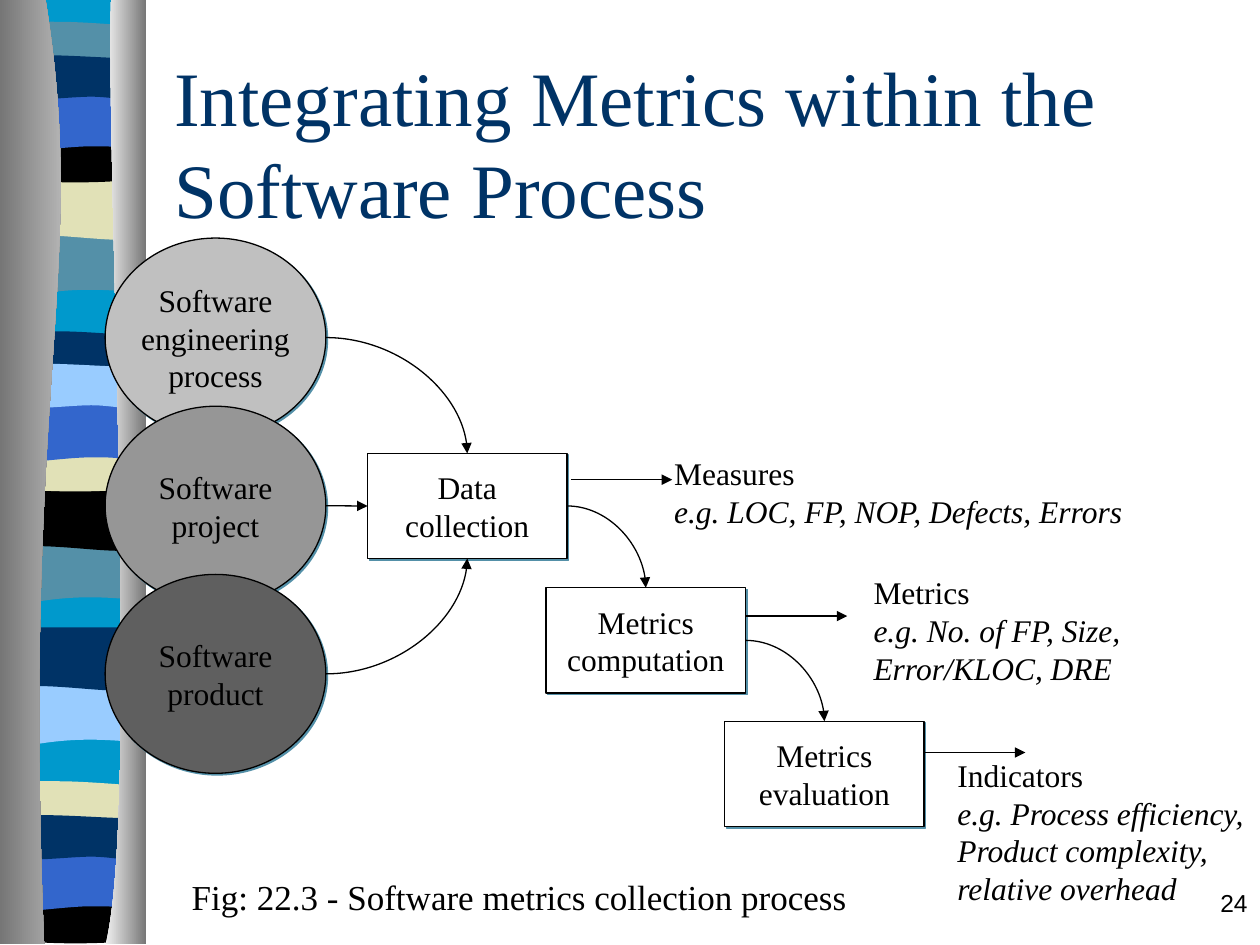
"""Build the slide on integrating metrics within the software process."""
from lxml import etree
from pptx import Presentation
from pptx.dml import color
from pptx.enum import shapes, text
from pptx.oxml import ns
from pptx.util import Cm, Pt

COLORS = {
    "black": "000000", "white": "FFFFFF", "navy": "003366", "teal": "5490A8",
    "cyan": "0099CC", "sand": "E1E1B7", "blue": "3366CC", "sky": "99CCFF",
    "silver": "C0C0C0", "gray": "969696", "dark": "5F5F5F",
    "shade": "767676", "light": "D0D0D0", "pale": "F0F0F0",
}
SERIF = "Times New Roman"
BAND_LEFT = 0.16
BACKING = [(2.9, 0), (2.9, 18.97), (0.18, 18.97), (0.18, 0)]
BANDS = [
    ([(2.72, 0), (2.72, 1.19), (0.84, 0.97, 0.46, 1.37, 0, 1.19), (0, 0)],
     [(4.72, "teal"), (10.92, "teal"), (13.79, "sky")]),
    ([(2.72, 0), (2.72, 1.22), (2.26, 1.4, 0.84, 1.07, 0, 1.22), (0, 0)],
     [(3.56, "sand"), (9.83, "black"), (12.65, "navy")]),
    ([(2.72, 0.13), (2.72, 0.74), (2.26, 0.84, 0.46, 0.84, 0, 0.74), (0, 0.13),
      (0.18, 0, 0.58, 0.03, 1.04, 0.03), (1.5, 0.03, 2.36, 0.1, 2.72, 0.13)],
     [(0.41, "teal"), (6.65, "navy"), (15.72, "sand")]),
    ([(2.72, 0), (2.72, 0.84), (2.26, 0.97, 0.46, 0.97, 0, 0.84), (0, 0),
      (1.68, 0.13, 2.16, 0, 2.72, 0)],
     [(2.74, "black"), (8.97, "sand"), (18.08, "black")]),
    ([(2.72, 0), (2.72, 1.19), (2.29, 1.07, 2.11, 1.07, 1.68, 1.07),
      (1.22, 1.07, 0.41, 1.19, 0, 1.19), (0, 0)],
     [(1.88, "blue"), (8.15, "blue"), (17.2, "blue")]),
    ([(2.72, 0.13), (2.72, 0.91), (2.54, 1.04, 2.13, 0.91, 1.68, 0.91),
      (1.22, 0.91, 0.28, 1.04, 0, 0.91), (0, 0.13),
      (0.38, 0, 1.85, 0.13, 2.29, 0.13), (2.74, 0.13, 2.62, 0.13, 2.72, 0.13)],
     [(1.04, "navy"), (7.26, "sky"), (16.36, "navy")]),
]
CURTAINS = [
    ([(0.92, 0), (1.8, 5.49, 0.43, 7.52, 0.89, 19.03), (0, 19.03), (0, 0)],
     ("shade", "light")),
    ([(2.24, 0), (2.13, 3.18, 2.82, 16.41, 2.13, 19.03), (2.95, 19.03), (2.95, 0)],
     ("pale", "shade")),
]
SOURCES = [("Software\vengineering\vprocess", "silver"),
           ("Software\vproject", "gray"), ("Software\vproduct", "dark")]
STEPS = [("Data\vcollection", 7.41, 9.14), ("Metrics\vcomputation", 11.01, 11.85),
         ("Metrics\vevaluation", 14.61, 14.54)]
OUTPUT_ARROWS = [(11.51, 9.67), (15.04, 12.42), (18.63, 15.17)]
OUTPUTS = [
    (["Measures", "e.g. LOC, FP, NOP, Defects, Errors"], (13.34, 9.03, 9.96, 1.78)),
    (["Metrics", "e.g. No. of FP, Size, Error/KLOC, DRE"], (17.36, 11.43, 6.55, 2.54)),
    (["Indicators", "e.g. Process efficiency, Product complexity, relative overhead"],
     (19.05, 15.11, 6.35, 3.3)),
]


def rgb(name):
    """Return the named colour."""
    return color.RGBColor.from_string(COLORS[name])


def add_outline(s, outline, left=0, top=0):
    """Add a borderless freeform; six-number segments become Bezier curves."""
    points = [((seg[i] + left) * 100, (seg[i + 1] + top) * 100)
              for seg in outline for i in range(0, len(seg), 2)]
    builder = s.shapes.build_freeform(*points[0], scale=Cm(0.01))
    builder.add_line_segments(points[1:], close=True)
    sp = builder.convert_to_shape()
    lines = iter(list(sp._element.iter(ns.qn("a:lnTo"))))
    for seg in outline[1:]:
        line = next(lines)
        if len(seg) == 6:
            line.tag = ns.qn("a:cubicBezTo")
            for extra in (next(lines), next(lines)):
                line.append(extra[0])
                extra.getparent().remove(extra)
    sp.shadow.inherit = False
    sp.line.fill.background()
    return sp


def add_solid(s, outline, name, left=0, top=0):
    """Add an outline filled with one named colour."""
    sp = add_outline(s, outline, left, top)
    sp.fill.solid()
    sp.fill.fore_color.rgb = rgb(name)


def add_ribbon(s):
    """Add the striped ribbon and the two shaded curtains beside it."""
    add_solid(s, BACKING, "cyan")
    for cycle in range(3):
        for outline, places in BANDS:
            top, name = places[cycle]
            add_solid(s, outline, name, BAND_LEFT, top)
    for outline, names in CURTAINS:
        sp = add_outline(s, outline)
        sp.fill.gradient()
        sp.fill.gradient_angle = 0
        for stop, name in zip(sp.fill.gradient_stops, names):
            stop.color.rgb = rgb(name)


def format_runs(p, size, name="black", font=SERIF, italic=False):
    """Format every run of a paragraph."""
    for r in p.runs:
        r.font.size, r.font.name, r.font.italic = Pt(size), font, italic
        r.font.color.rgb = rgb(name)


def add_node(s, kind, label, fill, left, top, width, height):
    """Add a labelled shape with a thin offset shadow."""
    sp = s.shapes.add_shape(kind, Cm(left), Cm(top), Cm(width), Cm(height))
    sp.fill.solid()
    sp.fill.fore_color.rgb = rgb(fill)
    sp.line.color.rgb = rgb("black")
    sp.line.width = Pt(0.75)
    sp.shadow.inherit = False
    effects = sp._element.spPr.find(ns.qn("a:effectLst"))
    shadow = etree.SubElement(effects, ns.qn("a:outerShdw"), dist=str(Pt(1.4)),
                              dir="2700000", algn="ctr", rotWithShape="0")
    etree.SubElement(shadow, ns.qn("a:srgbClr"), val=COLORS["teal"])
    tf = sp.text_frame
    tf.word_wrap = False
    tf.vertical_anchor = text.MSO_ANCHOR.MIDDLE
    p = tf.paragraphs[0]
    p.text = label
    p.alignment = text.PP_ALIGN.CENTER
    format_runs(p, 18)
    return sp


def add_arrow(s, x1, y1, x2, y2, curved=False):
    """Add a straight or quarter-curve arrow between two points."""
    kinds = shapes.MSO_CONNECTOR
    c = s.shapes.add_connector(kinds.CURVE if curved else kinds.STRAIGHT, x1, y1, x2, y2)
    c.line.color.rgb = rgb("black")
    c.line.width = Pt(0.75)
    props = c._element.spPr
    if curved:
        props.find(ns.qn("a:prstGeom")).set("prst", "curvedConnector2")
    etree.SubElement(props.find(ns.qn("a:ln")), ns.qn("a:tailEnd"), type="triangle")
    etree.SubElement(props, ns.qn("a:effectLst"))


def add_text(s, lines, box, size, font=SERIF, align=text.PP_ALIGN.LEFT):
    """Add a text box whose lines after the first are italic."""
    tf = s.shapes.add_textbox(*map(Cm, box)).text_frame
    tf.word_wrap = True
    tf.text = "\n".join(lines)
    for i, p in enumerate(tf.paragraphs):
        p.alignment = align
        format_runs(p, size, font=font, italic=i > 0)


def add_title(s, title):
    """Place and format the title placeholder."""
    sp = s.shapes.title
    sp.left, sp.top, sp.width, sp.height = Cm(3.26), Cm(1.27), Cm(21.59), Cm(3.18)
    tf = sp.text_frame
    tf.text = title
    tf.word_wrap = True
    tf.auto_size = text.MSO_AUTO_SIZE.NONE
    tf.vertical_anchor = text.MSO_ANCHOR.MIDDLE
    tf.paragraphs[0].alignment = text.PP_ALIGN.LEFT
    format_runs(tf.paragraphs[0], 44, "navy")


def add_flow(s):
    """Add the sources, the steps and the arrows that join them."""
    kinds = shapes.MSO_SHAPE
    sources = [add_node(s, kinds.OVAL, label, fill, 2.12, 4.8 + 3.39 * i, 4.45, 4.01)
               for i, (label, fill) in enumerate(SOURCES)]
    steps = [add_node(s, kinds.RECTANGLE, label, "white", left, top, 4.02, 2.12)
             for label, left, top in STEPS]
    collect = steps[0]
    mid_x = collect.left + collect.width // 2
    ends = [(mid_x, collect.top), (collect.left, collect.top + collect.height // 2),
            (mid_x, collect.top + collect.height)]
    for i, (sp, end) in enumerate(zip(sources, ends)):
        add_arrow(s, sp.left + sp.width, sp.top + sp.height // 2, *end, curved=i != 1)
    for a, b in zip(steps, steps[1:]):
        add_arrow(s, a.left + a.width, a.top + a.height // 2,
                  b.left + b.width // 2, b.top, curved=True)
    for x, y in OUTPUT_ARROWS:
        add_arrow(s, Cm(x), Cm(y), Cm(x + 2.04), Cm(y))


def main():
    """Build and save the slide."""
    prs = Presentation()
    prs.slide_width, prs.slide_height = Cm(25.4), Cm(19.05)
    s = prs.slides.add_slide(prs.slide_layouts[5])
    add_ribbon(s)
    add_text(s, ["24"], (20.12, 17.78, 5.28, 1.27), 14, "Arial", text.PP_ALIGN.RIGHT)
    add_title(s, "Integrating Metrics within the Software Process")
    add_flow(s)
    for lines, box in OUTPUTS:
        add_text(s, lines, box, 18)
    add_text(s, ["Fig: 22.3 - Software metrics collection process"],
             (2.75, 17.53, 15.44, 1.12), 20, align=text.PP_ALIGN.CENTER)
    prs.save("out.pptx")


if __name__ == "__main__":
    main()
